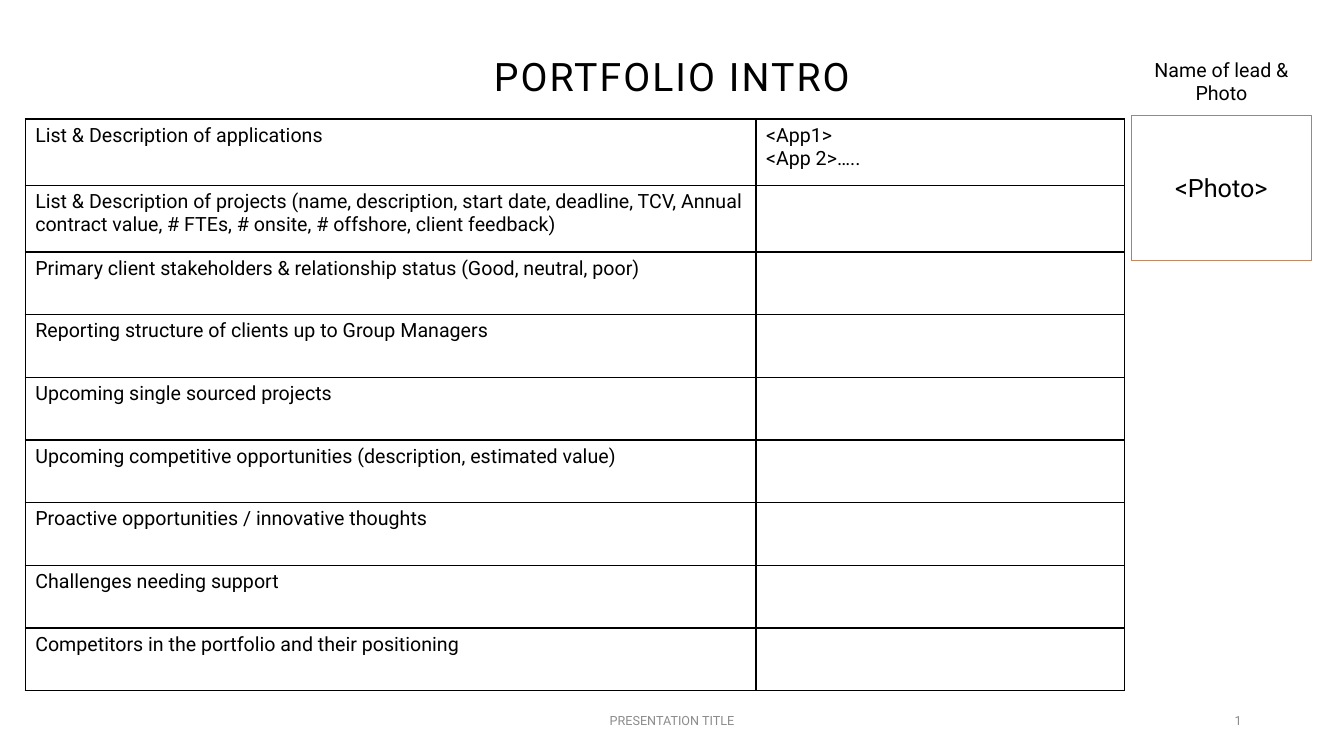
from lxml.etree import SubElement
from pptx import Presentation
from pptx.dml.color import RGBColor
from pptx.enum.shapes import MSO_CONNECTOR, MSO_SHAPE
from pptx.enum.text import MSO_ANCHOR, PP_ALIGN
from pptx.oxml.ns import qn
from pptx.util import Pt

FONT = "Roboto"
BLACK, WHITE, GRAY, ORANGE = "000000", "FFFFFF", "8C8C8C", "ED7D31"
TOPICS = [
    ("List & Description of applications", "<App1>\n<App 2>….."),
    ("List & Description of projects (name, description, start date, deadline, TCV, "
     "Annual contract value, # FTEs, # onsite, # offshore, client feedback)", ""),
    ("Primary client stakeholders & relationship status (Good, neutral, poor)", ""),
    ("Reporting structure of clients up to Group Managers", ""),
    ("Upcoming single sourced projects", ""),
    ("Upcoming competitive opportunities (description, estimated value)", ""),
    ("Proactive opportunities / innovative thoughts", ""),
    ("Challenges needing support", ""),
    ("Competitors in the portfolio and their positioning", ""),
]


def color(hex_code):
    return RGBColor.from_string(hex_code)


def write(frame, text, size, hex_code=BLACK, align=PP_ALIGN.LEFT, anchor=MSO_ANCHOR.TOP):
    frame.text = text
    frame.word_wrap = True
    frame.vertical_anchor = anchor
    for paragraph in frame.paragraphs:
        paragraph.alignment = align
        paragraph.font.size = Pt(size)
        for run in paragraph.runs:
            run.font.size = Pt(size)
            run.font.name = FONT
            run.font.color.rgb = color(hex_code)


def add_label(slide, box, *style):
    label = slide.shapes.add_textbox(*map(Pt, box))
    write(label.text_frame, *style)


def border_cell(cell):
    properties = cell._tc.get_or_add_tcPr()
    for side in ("a:lnL", "a:lnR", "a:lnT", "a:lnB"):
        border = SubElement(properties, qn(side), w=str(Pt(1)))
        fill = SubElement(border, qn("a:solidFill"))
        SubElement(fill, qn("a:srgbClr"), val=BLACK)
    cell.fill.background()


def place_title(slide, left, top, width, height):
    title = slide.shapes.title
    title.left, title.top, title.width, title.height = map(Pt, (left, top, width, height))
    write(title.text_frame, "PORTFOLIO INTRO", 28, BLACK, PP_ALIGN.CENTER, MSO_ANCHOR.MIDDLE)
    heading = title.text_frame.paragraphs[0]
    heading.line_spacing = 0.9
    heading.runs[0]._r.get_or_add_rPr().set("spc", "150")


def add_topics(slide, left, top, width, height):
    table = slide.shapes.add_table(len(TOPICS), 2, *map(Pt, (left, top, width, height))).table
    table.first_row = table.horz_banding = False
    topic_width = 522
    table.columns[0].width = Pt(topic_width)
    table.columns[1].width = Pt(width - topic_width)
    tall, tall_rows = 47.5, 2
    short = (height - tall * tall_rows) / (len(TOPICS) - tall_rows)
    for index, (row, entries) in enumerate(zip(table.rows, TOPICS)):
        row.height = Pt(tall if index < tall_rows else short)
        for cell, entry in zip(row.cells, entries):
            border_cell(cell)
            write(cell.text_frame, entry, 14)


def add_lead(slide, left, top, width, height):
    caption_height, photo_offset = 41, 44.6
    add_label(slide, (left, top, width, caption_height),
              "Name of lead & Photo", 14, BLACK, PP_ALIGN.CENTER)
    photo = slide.shapes.add_shape(
        MSO_SHAPE.RECTANGLE,
        *map(Pt, (left, top + photo_offset, width, height - photo_offset)))
    photo.shadow.inherit = False
    photo.fill.solid()
    photo.fill.fore_color.rgb = color(WHITE)
    photo.line.color.rgb = color(GRAY)
    photo.line.width = Pt(0.5)
    write(photo.text_frame, "<Photo>", 18, BLACK, PP_ALIGN.CENTER, MSO_ANCHOR.MIDDLE)
    bottom = top + height
    underline = slide.shapes.add_connector(
        MSO_CONNECTOR.STRAIGHT, *map(Pt, (left, bottom, left + width, bottom)))
    underline.line.color.rgb = color(ORANGE)
    underline.line.width = Pt(1)
    SubElement(underline._element.spPr, qn("a:effectLst"))


def add_footer(slide, left, top, width, height):
    number_width = 216
    add_label(slide, (left, top, 324, height),
              "PRESENTATION TITLE", 9, GRAY, PP_ALIGN.CENTER, MSO_ANCHOR.MIDDLE)
    add_label(slide, (left + width - number_width, top, number_width, height),
              "1", 9, GRAY, PP_ALIGN.RIGHT, MSO_ANCHOR.MIDDLE)


presentation = Presentation()
presentation.slide_width, presentation.slide_height = Pt(960), Pt(540)
title_only = presentation.slide_layouts[5]
intro = presentation.slides.add_slide(title_only)
place_title(intro, 66, 29, 828, 54.5)
add_footer(intro, 318, 500.5, 576, 28.75)
add_lead(intro, 808, 37.5, 129, 148.5)
add_topics(intro, 18, 85, 785, 408.5)
presentation.save("out.pptx")
